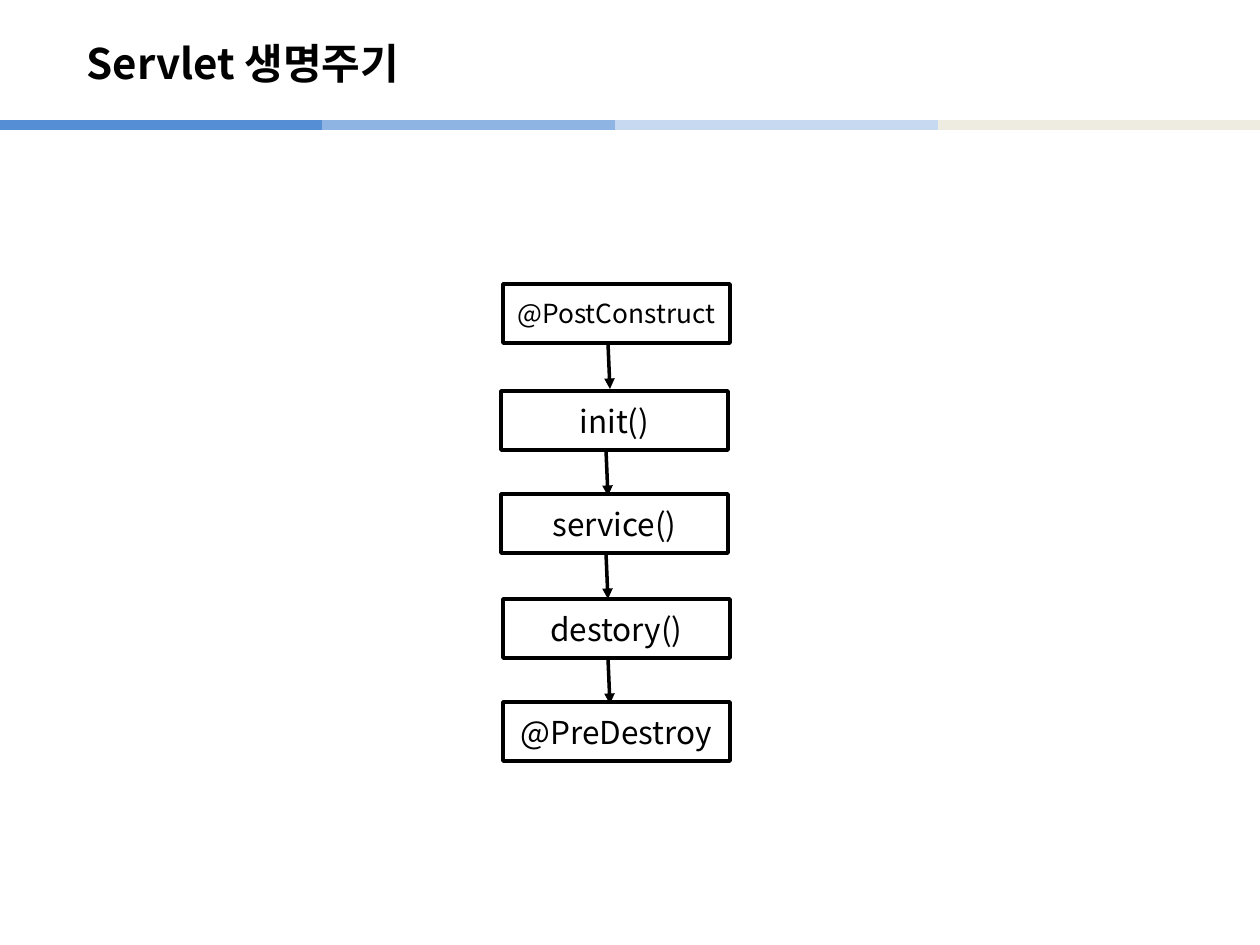
"""Build a slide on the servlet life cycle."""
from dataclasses import dataclass

from lxml.etree import SubElement
from pptx import Presentation
from pptx.dml.color import RGBColor
from pptx.enum.shapes import MSO_CONNECTOR, MSO_SHAPE
from pptx.enum.text import MSO_ANCHOR, MSO_AUTO_SIZE, PP_ALIGN
from pptx.oxml.ns import qn
from pptx.util import Emu, Pt


@dataclass(frozen=True)
class Theme:
    """Font, colours and type sizes of the slide."""
    font: str = "Noto Sans CJK KR"
    ink: str = "000000"
    paper: str = "FFFFFF"
    title: int = 24
    text: int = 18
    small: int = 15
    line: int = 2
    band: int = 6


@dataclass(frozen=True)
class Band:
    """One part of the rule under the title."""
    left: int
    right: int
    color: str


@dataclass(frozen=True)
class Step:
    """One stage of the life cycle."""
    text: str
    left: int
    top: int
    size: int = Theme.text


THEME = Theme()
WIDE, HIGH = 227, 59
RULE = 125
BANDS = [
    Band(292, 615, "8EB4E3"),
    Band(615, 938, "C6D9F1"),
    Band(938, 1260, "EEECE1"),
    Band(0, 322, "558ED5"),
]
STEPS = [
    Step("@PostConstruct", 503, 284, THEME.small),
    Step("init()", 501, 391),
    Step("service()", 501, 494),
    Step("destory()", 503, 599),
    Step("@PreDestroy", 503, 702),
]


def px(count: int) -> Emu:
    """Turn pixels into EMU."""
    return Emu(round(count * 914400 / 126))


def rgb(code: str) -> RGBColor:
    """Read a colour code."""
    return RGBColor.from_string(code)


def write(frame, text: str, size: int, align, bold: bool = False) -> None:
    """Fill a text frame with one formatted line."""
    frame.text = text
    frame.word_wrap = True
    frame.auto_size = MSO_AUTO_SIZE.NONE
    frame.vertical_anchor = MSO_ANCHOR.MIDDLE
    line = frame.paragraphs[0]
    line.alignment = align
    for run in line.runs:
        font = run.font
        font.size, font.bold, font.name = Pt(size), bold, THEME.font
        font.color.rgb = rgb(THEME.ink)
        SubElement(run._r.get_or_add_rPr(), qn("a:ea"), typeface=THEME.font)


def draw_line(slide, start: tuple[int, int], end: tuple[int, int],
              color: str, width: int, head: bool = False) -> None:
    """Draw a straight line, with an arrowhead if asked."""
    link = slide.shapes.add_connector(
        MSO_CONNECTOR.STRAIGHT, *map(px, start + end))
    link.line.color.rgb = rgb(color)
    link.line.width = Pt(width)
    if head:
        SubElement(link.line._get_or_add_ln(), qn("a:tailEnd"), type="triangle")
    SubElement(link._element.spPr, qn("a:effectLst"))


def draw_step(slide, step: Step) -> None:
    """Draw the box of a step."""
    box = slide.shapes.add_shape(
        MSO_SHAPE.FLOWCHART_PROCESS,
        *map(px, (step.left, step.top, WIDE, HIGH)))
    box.shadow.inherit = False
    box.fill.solid()
    box.fill.fore_color.rgb = rgb(THEME.paper)
    box.line.color.rgb = rgb(THEME.ink)
    box.line.width = Pt(THEME.line)
    write(box.text_frame, step.text, step.size, PP_ALIGN.CENTER)


def draw_arrow(slide, step: Step) -> None:
    """Draw the arrow that leaves a step."""
    left, top = step.left + 105, step.top + HIGH
    draw_line(slide, (left, top), (left + 2, top + 46),
              THEME.ink, THEME.line, head=True)


def main() -> None:
    """Build and save the deck."""
    deck = Presentation()
    deck.slide_width, deck.slide_height = px(1260), px(945)
    slide = deck.slides.add_slide(deck.slide_layouts[5])
    title = slide.shapes.title
    title.left, title.top, title.width, title.height = map(
        px, (74, 25, 1042, 76))
    write(title.text_frame, "Servlet 생명주기", THEME.title,
          PP_ALIGN.LEFT, bold=True)
    for band in BANDS:
        draw_line(slide, (band.left, RULE), (band.right, RULE),
                  band.color, THEME.band)
    for step in STEPS:
        if step is not STEPS[-1]:
            draw_arrow(slide, step)
        draw_step(slide, step)
    deck.save("out.pptx")


if __name__ == "__main__":
    main()
